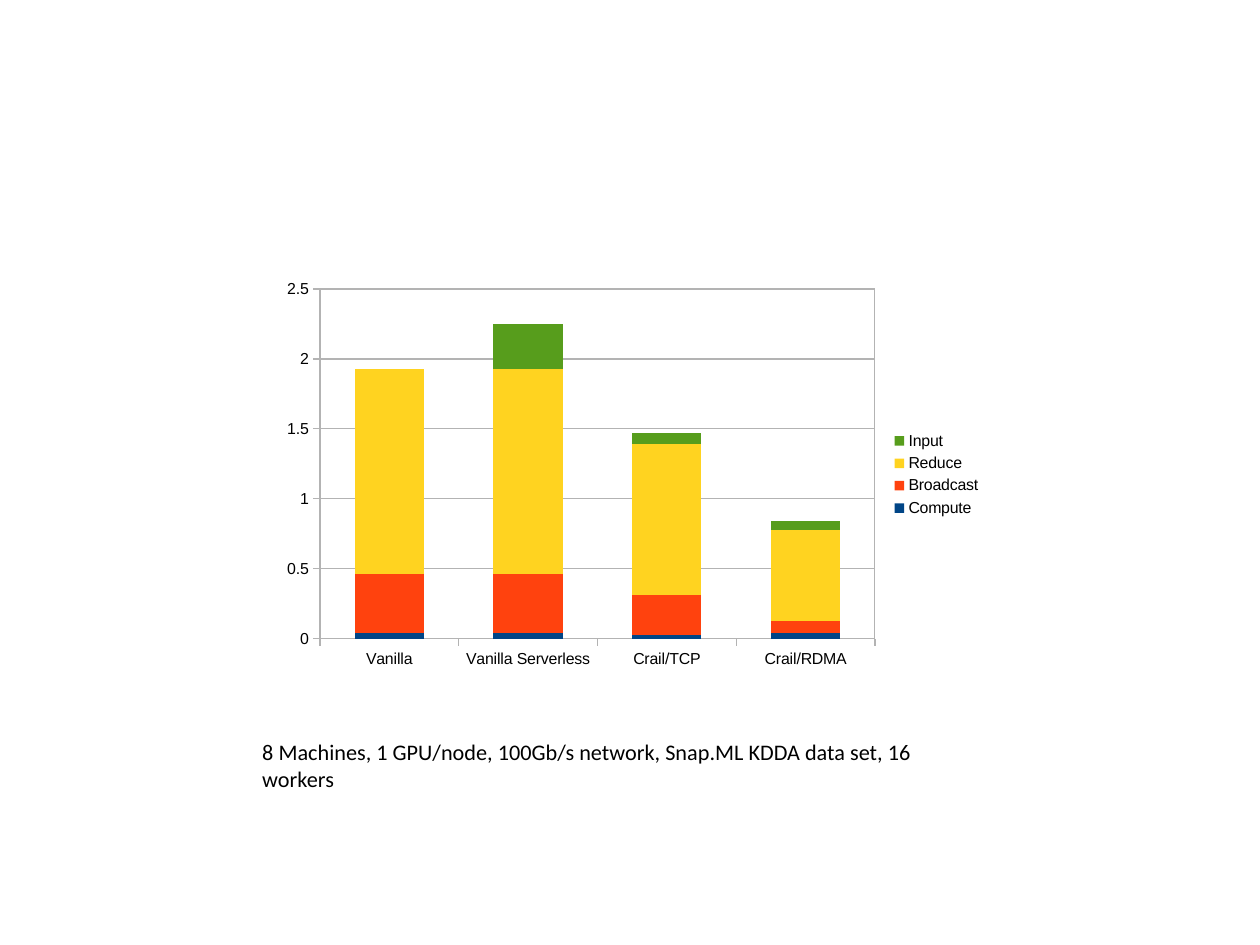
from dataclasses import dataclass

from lxml import etree
from pptx import Presentation
from pptx import util as u
from pptx.chart.data import CategoryChartData
from pptx.dml.color import RGBColor
from pptx.enum import chart as ch
from pptx.oxml import parse_xml
from pptx.oxml.ns import nsdecls, qn


@dataclass
class Theme:
    ink: str = "000000"
    grid: str = "B3B3B3"
    label: int = 10
    note: int = 14
    sans: str = "Arial"
    body: str = "Calibri"


theme = Theme()
rgb = RGBColor.from_string


def px(*sizes):
    return [u.Emu(size * 8000) for size in sizes]


def style(font, name, size):
    font.name, font.size = name, u.Pt(size)
    font.color.rgb = rgb(theme.ink)


deck = Presentation()
deck.slide_width, deck.slide_height = px(1260, 945)
slide = deck.slides.add_slide(deck.slide_layouts[6])

series = [
    ("Compute", "004586", (0.04, 0.04, 0.03, 0.04)),
    ("Broadcast", "FF420E", (0.42, 0.42, 0.28, 0.09)),
    ("Reduce", "FFD320", (1.47, 1.47, 1.08, 0.65)),
    ("Input", "579D1C", (0, 0.32, 0.08, 0.06)),
]
data = CategoryChartData()
data.categories = ["Vanilla", "Vanilla Serverless", "Crail/TCP", "Crail/RDMA"]
for name, _, vals in series:
    data.add_series(name, vals)

chart = slide.shapes.add_chart(
    ch.XL_CHART_TYPE.COLUMN_STACKED, *px(273, 272, 720, 405), data).chart
style(chart.font, theme.sans, theme.label)
chart.has_title = False
chart.has_legend = True
chart.legend.position = ch.XL_LEGEND_POSITION.RIGHT
chart.legend.include_in_layout = False
style(chart.legend.font, theme.sans, theme.label)

plot = chart.plots[0]
plot.gap_width, plot.overlap = 100, 100
plot.vary_by_categories = False
for bar, (_, color, _) in zip(plot.series, series):
    bar.format.fill.solid()
    bar.format.fill.fore_color.rgb = rgb(color)
    bar.format.line.fill.background()

rows = chart.value_axis
rows.minimum_scale, rows.maximum_scale, rows.major_unit = 0, 2.5, 0.5
rows.has_major_gridlines = True
for axis in (chart.category_axis, rows):
    axis.major_tick_mark = ch.XL_TICK_MARK.OUTSIDE
    axis.minor_tick_mark = ch.XL_TICK_MARK.NONE
    style(axis.tick_labels.font, theme.sans, theme.label)
for part in (chart.category_axis, rows, rows.major_gridlines):
    part.format.line.color.rgb = rgb(theme.grid)
    part.format.line.width = 0

# Fixed inner plot area with a thin frame
area = plot._element.getparent()
for old in area.findall(qn("c:layout")):
    area.remove(old)
layout = parse_xml(f'<c:layout {nsdecls("c")}><c:manualLayout/></c:layout>')
for tag, val in [("layoutTarget", "inner"), ("xMode", "edge"), ("yMode", "edge"),
                 ("x", 47 / 720), ("y", 17 / 405),
                 ("w", 555 / 720), ("h", 350 / 405)]:
    etree.SubElement(layout[0], qn(f"c:{tag}"), val=str(val))
area.insert(0, layout)
area.append(parse_xml(
    f'<c:spPr {nsdecls("c", "a")}><a:noFill/><a:ln w="0"><a:solidFill>'
    f'<a:srgbClr val="{theme.grid}"/></a:solidFill></a:ln></c:spPr>'))

note = slide.shapes.add_textbox(*px(251, 733, 738, 65)).text_frame
note.word_wrap = True
line = note.paragraphs[0]
line.text = ("8 Machines, 1 GPU/node, 100Gb/s network, "
             "Snap.ML KDDA data set, 16 workers")
style(line.font, theme.body, theme.note)

deck.save("out.pptx")
